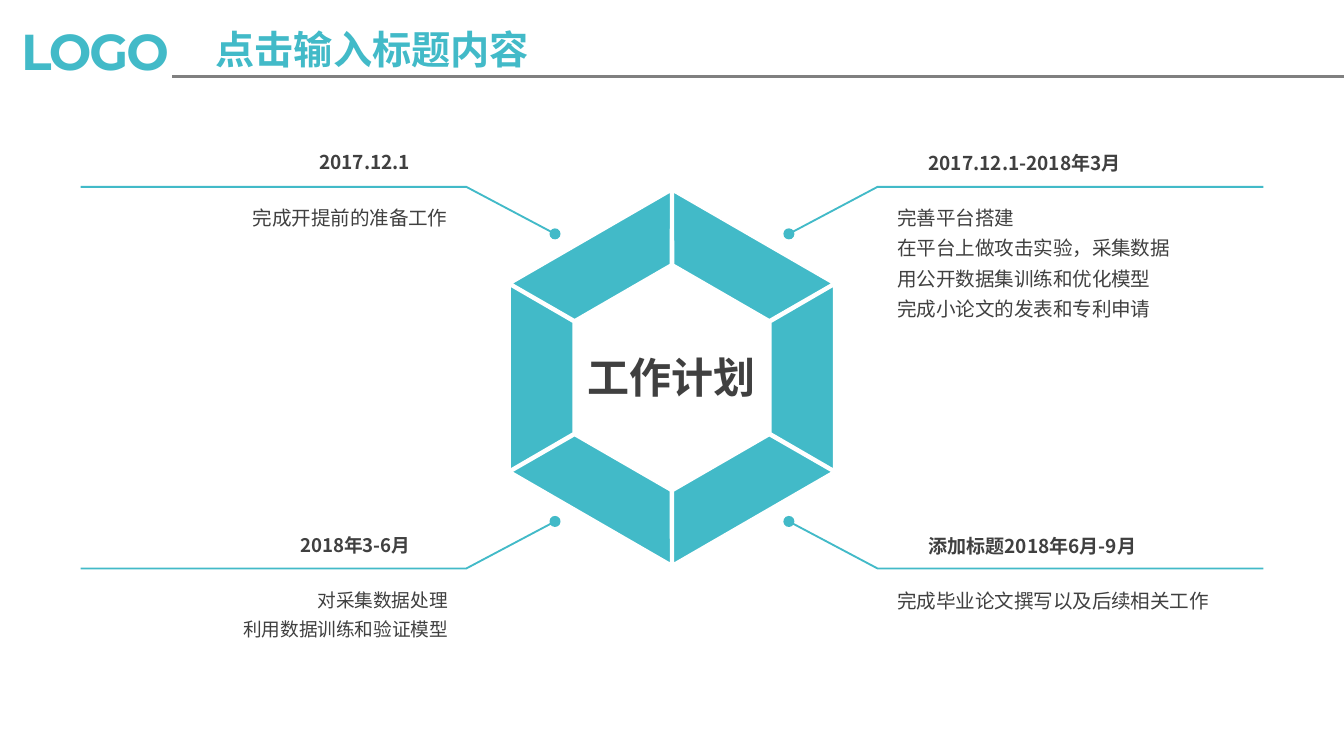
from math import cos, radians, sin

from lxml.etree import SubElement
from pptx import Presentation
from pptx.dml.color import RGBColor
from pptx.enum.shapes import MSO_CONNECTOR, MSO_SHAPE
from pptx.enum.text import PP_ALIGN
from pptx.oxml.ns import qn
from pptx.util import Inches, Pt

COLORS = {"teal": "42BAC8", "gray": "808080", "dark": "404040", "white": "FFFFFF"}
CJK = "Noto Sans CJK SC"
LEFT, RIGHT = PP_ALIGN.LEFT, PP_ALIGN.RIGHT
CENTER, JUSTIFY = PP_ALIGN.CENTER, PP_ALIGN.JUSTIFY


def rgb(name):
    return RGBColor.from_string(COLORS[name])


def add_text(box, lines, size, color="dark", bold=False, align=LEFT,
             spacing=1.0, font=CJK, tracking=0, side=0.1):
    """Add a text box with one paragraph per line; tracking is in points."""
    tf = s.shapes.add_textbox(*map(Inches, box)).text_frame
    tf.word_wrap = True
    tf.margin_left = tf.margin_right = Inches(side)
    for i, line in enumerate(lines):
        p = tf.add_paragraph() if i else tf.paragraphs[0]
        p.alignment = align
        p.line_spacing = spacing
        r = p.add_run()
        r.text = line
        r.font.size = Pt(size)
        r.font.bold = bold
        r.font.name = font
        r.font.color.rgb = rgb(color)
        rpr = r.font._element
        SubElement(rpr, qn("a:ea"), typeface=font)
        if tracking:
            rpr.set("spc", str(round(tracking * 100)))


prs = Presentation()
prs.slide_width = Inches(10)
prs.slide_height = Inches(10 * 9 / 16)
s = prs.slides.add_slide(prs.slide_layouts[6])

# Header
add_text((0.06, 0.1, 1.4, 0.56), ["LOGO"], 27, "teal", True,
         font="Montserrat", tracking=-1.1)
rule = s.shapes.add_connector(MSO_CONNECTOR.STRAIGHT, Inches(1.28), Inches(0.57),
                              Inches(10), Inches(0.57))
rule.line.color.rgb = rgb("gray")
rule.line.width = Pt(2)
SubElement(rule._element.spPr, qn("a:effectLst"))
add_text((1.42, 0.14, 2.7, 0.45), ["点击输入标题内容"], 21, "teal", True, CENTER)

# Hexagon ring: six trapezoids with their short sides towards the centre
cx, cy, radius = 5, 2.81, 0.97
side_w, side_h = 1.37, 0.47
for angle in range(0, 360, 60):
    x = cx + radius * cos(radians(angle)) - side_w / 2
    y = cy + radius * sin(radians(angle)) - side_h / 2
    sp = s.shapes.add_shape(MSO_SHAPE.TRAPEZOID, Inches(x), Inches(y),
                            Inches(side_w), Inches(side_h))
    sp.adjustments[0] = 0.58
    sp.rotation = (angle + 270) % 360
    sp.shadow.inherit = False
    sp.fill.solid()
    sp.fill.fore_color.rgb = rgb("teal")
    sp.line.color.rgb = rgb("white")
    sp.line.width = Pt(1)

# Leader lines, mirrored left to right, from the outer end to the dot
for mirrored in (False, True):
    for line_y, dot_y in ((1.39, 1.74), (4.23, 3.88)):
        points = [(Inches(10 - x if mirrored else x), Inches(y))
                  for x, y in ((0.6, line_y), (3.47, line_y), (4.13, dot_y))]
        builder = s.shapes.build_freeform(*points[0])
        builder.add_line_segments(points[1:], close=False)
        sp = builder.convert_to_shape()
        sp.shadow.inherit = False
        sp.fill.background()
        sp.line.color.rgb = rgb("teal")
        sp.line.width = Pt(1)
        SubElement(sp.line._ln, qn("a:tailEnd"), type="oval")

# Stages: heading x, y, size, alignment; body x, y, size, alignment
stages = [
    (0.64, 1.09, 10.2, RIGHT, "2017.12.1",
     0.67, 1.43, 10.5, RIGHT, ["完成开提前的准备工作"]),
    (0.64, 3.94, 10, RIGHT, "2018年3-6月",
     0.67, 4.28, 10, RIGHT, ["对采集数据处理", "利用数据训练和验证模型"]),
    (6.81, 1.1, 10.2, LEFT, "2017.12.1-2018年3月",
     6.58, 1.43, 10.5, JUSTIFY,
     ["完善平台搭建", "在平台上做攻击实验，采集数据",
      "用公开数据集训练和优化模型", "完成小论文的发表和专利申请"]),
    (6.81, 3.95, 10.2, LEFT, "添加标题2018年6月-9月",
     6.58, 4.28, 10.5, JUSTIFY, ["完成毕业论文撰写以及后续相关工作"]),
]
for hx, hy, h_size, h_align, heading, bx, by, b_size, b_align, body in stages:
    add_text((hx, hy, 2.51, 0.28), [heading], h_size, bold=True,
             align=h_align, spacing=0.9)
    add_text((bx, by, 2.76, 0.1 + 0.24 * len(body)), body, b_size,
             align=b_align, spacing=1.3)

add_text((4.26, 2.61, 1.47, 0.85), ["工作计划"], 22.5, bold=True,
         align=CENTER, spacing=0.9, side=0)

prs.save("out.pptx")
